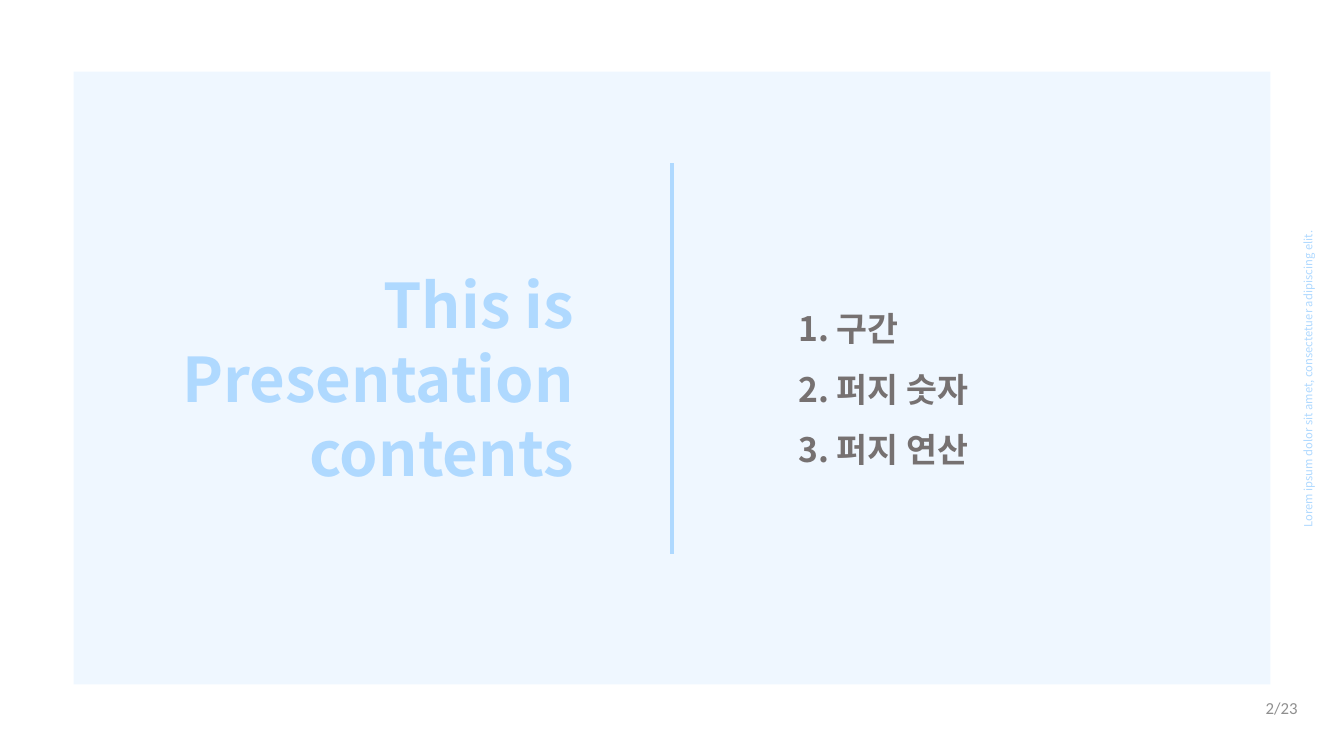
from dataclasses import dataclass

from lxml.etree import SubElement
from pptx import Presentation
from pptx.dml.color import RGBColor
from pptx.enum.shapes import MSO_CONNECTOR, MSO_SHAPE
from pptx.enum.text import MSO_ANCHOR, MSO_AUTO_SIZE, PP_ALIGN
from pptx.oxml.ns import qn
from pptx.slide import Slide
from pptx.util import Emu, Inches, Pt


@dataclass(frozen=True)
class Theme:
    accent: str = "AFD9FF"
    body: str = "767171"
    page: str = "8F8F8F"
    panel_opacity: int = 20
    font: str = "Noto Sans CJK KR"
    page_font: str = "Calibri"
    title_size: int = 44
    list_size: int = 24
    page_size: int = 12
    side_size: int = 8
    divider_width: float = 2.25


@dataclass(frozen=True)
class Box:
    """Left, top, width and height as percentages of the slide's size."""
    left: float
    top: float
    width: float
    height: float


THEME = Theme()
SLIDE_WIDTH = Inches(13.333)
SLIDE_HEIGHT = Inches(7.5)

PANEL = Box(5.48, 9.47, 89.05, 81.07)
DIVIDER = Box(50, 21.6, 0, 51.73)
TITLE = Box(11.63, 34.53, 31.81, 30.93)
CONTENTS = Box(58.66, 37.73, 29.33, 24.67)
SIDE_NOTE = Box(81.4, 48.4, 31.88, 3.2)
PAGE_NUMBER = Box(74.79, 90.93, 22.51, 5.33)


def across(percent: float) -> Emu:
    return Emu(round(SLIDE_WIDTH * percent / 100))


def down(percent: float) -> Emu:
    return Emu(round(SLIDE_HEIGHT * percent / 100))


def place(box: Box) -> tuple[Emu, Emu, Emu, Emu]:
    return across(box.left), down(box.top), across(box.width), down(box.height)


def add_panel(slide: Slide, box: Box, color: str, opacity: int) -> None:
    panel = slide.shapes.add_shape(MSO_SHAPE.RECTANGLE, *place(box))
    panel.shadow.inherit = False
    panel.fill.solid()
    panel.fill.fore_color.rgb = RGBColor.from_string(color)
    panel.line.fill.background()
    color_element = panel.fill._xPr.find(qn("a:solidFill"))[0]
    SubElement(color_element, qn("a:alpha"), val=str(opacity * 1000))


def add_divider(slide: Slide, box: Box, color: str, width: float) -> None:
    left, top, run, drop = place(box)
    divider = slide.shapes.add_connector(
        MSO_CONNECTOR.STRAIGHT, left, top, left + run, top + drop)
    divider.line.color.rgb = RGBColor.from_string(color)
    divider.line.width = Pt(width)
    SubElement(divider._element.spPr, qn("a:effectLst"))


def add_text(slide: Slide, box: Box, lines: list[str], *, size: int, color: str,
             font: str = THEME.font, bold: bool = False,
             align: PP_ALIGN = PP_ALIGN.LEFT, anchor: MSO_ANCHOR = MSO_ANCHOR.MIDDLE,
             spacing: float = 1.0, numbered: bool = False, rotation: int = 0,
             grow: bool = True) -> None:
    shape = slide.shapes.add_textbox(*place(box))
    shape.rotation = rotation
    frame = shape.text_frame
    frame.word_wrap = True
    frame.auto_size = MSO_AUTO_SIZE.SHAPE_TO_FIT_TEXT if grow else MSO_AUTO_SIZE.NONE
    frame.vertical_anchor = anchor
    for index, line in enumerate(lines):
        paragraph = frame.add_paragraph() if index else frame.paragraphs[0]
        paragraph.alignment = align
        paragraph.line_spacing = spacing
        if numbered:
            properties = paragraph._p.get_or_add_pPr()
            indent = Inches(0.25)
            properties.set("marL", str(indent))
            properties.set("indent", str(-indent))
            SubElement(properties, qn("a:buAutoNum"), type="arabicPeriod")
        run = paragraph.add_run()
        run.text = line
        run.font.size = Pt(size)
        run.font.bold = bold
        run.font.color.rgb = RGBColor.from_string(color)
        run.font.name = font
        SubElement(run._r.get_or_add_rPr(), qn("a:ea"), typeface=font)


def build() -> None:
    presentation = Presentation()
    presentation.slide_width = SLIDE_WIDTH
    presentation.slide_height = SLIDE_HEIGHT
    slide = presentation.slides.add_slide(presentation.slide_layouts[6])

    add_panel(slide, PANEL, THEME.accent, THEME.panel_opacity)
    add_text(slide, TITLE, ["This is Presentation", "contents"],
             size=THEME.title_size, color=THEME.accent, bold=True, align=PP_ALIGN.RIGHT)
    add_text(slide, CONTENTS, [" 구간", " 퍼지 숫자", " 퍼지 연산"],
             size=THEME.list_size, color=THEME.body, bold=True, spacing=1.5, numbered=True)
    add_divider(slide, DIVIDER, THEME.accent, THEME.divider_width)
    add_text(slide, SIDE_NOTE, ["Lorem ipsum dolor sit amet, consectetuer adipiscing elit. "],
             size=THEME.side_size, color=THEME.accent, align=PP_ALIGN.CENTER,
             anchor=MSO_ANCHOR.TOP, rotation=270)
    add_text(slide, PAGE_NUMBER, ["2/23"], size=THEME.page_size, color=THEME.page,
             font=THEME.page_font, align=PP_ALIGN.RIGHT, grow=False)

    presentation.save("out.pptx")


build()
